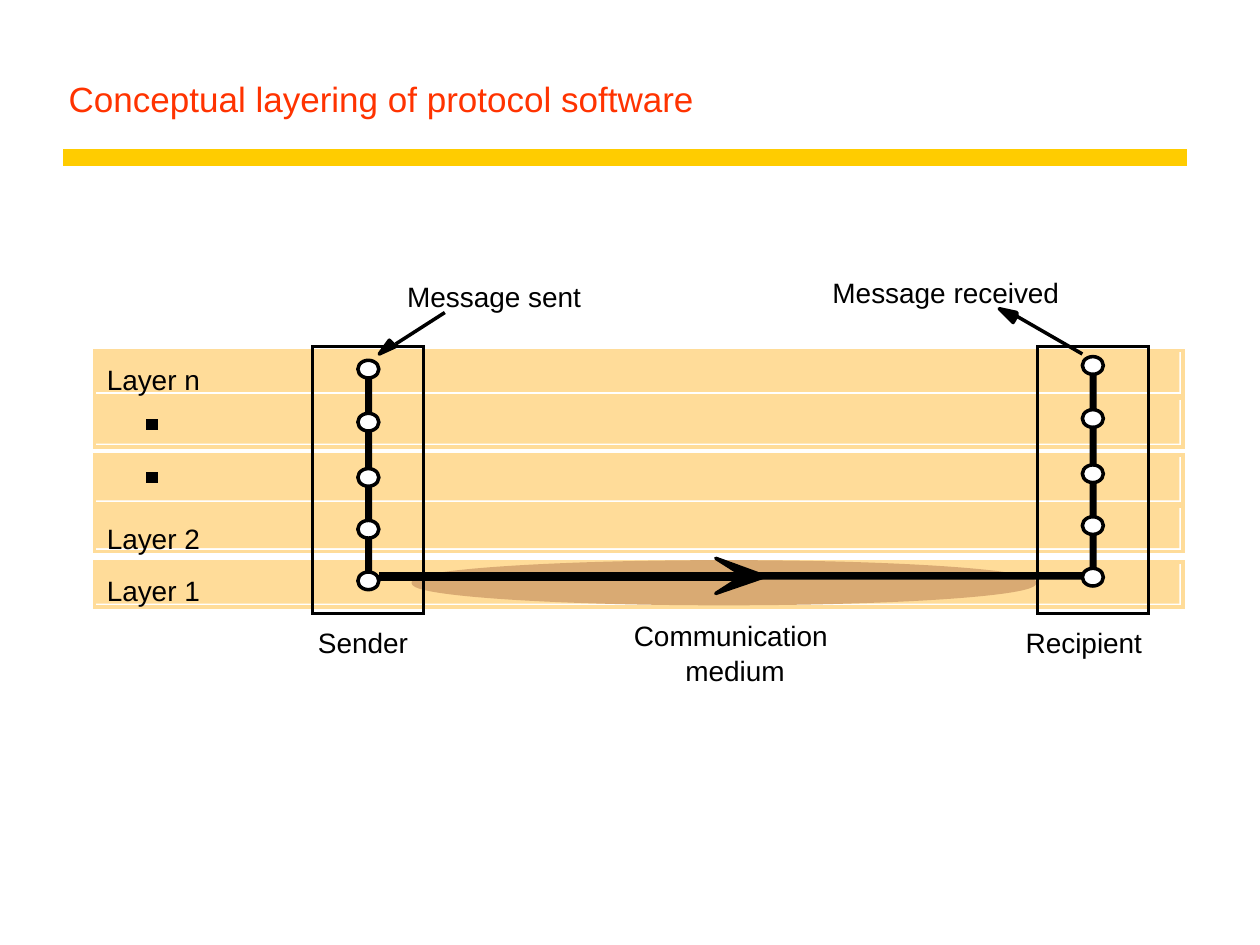
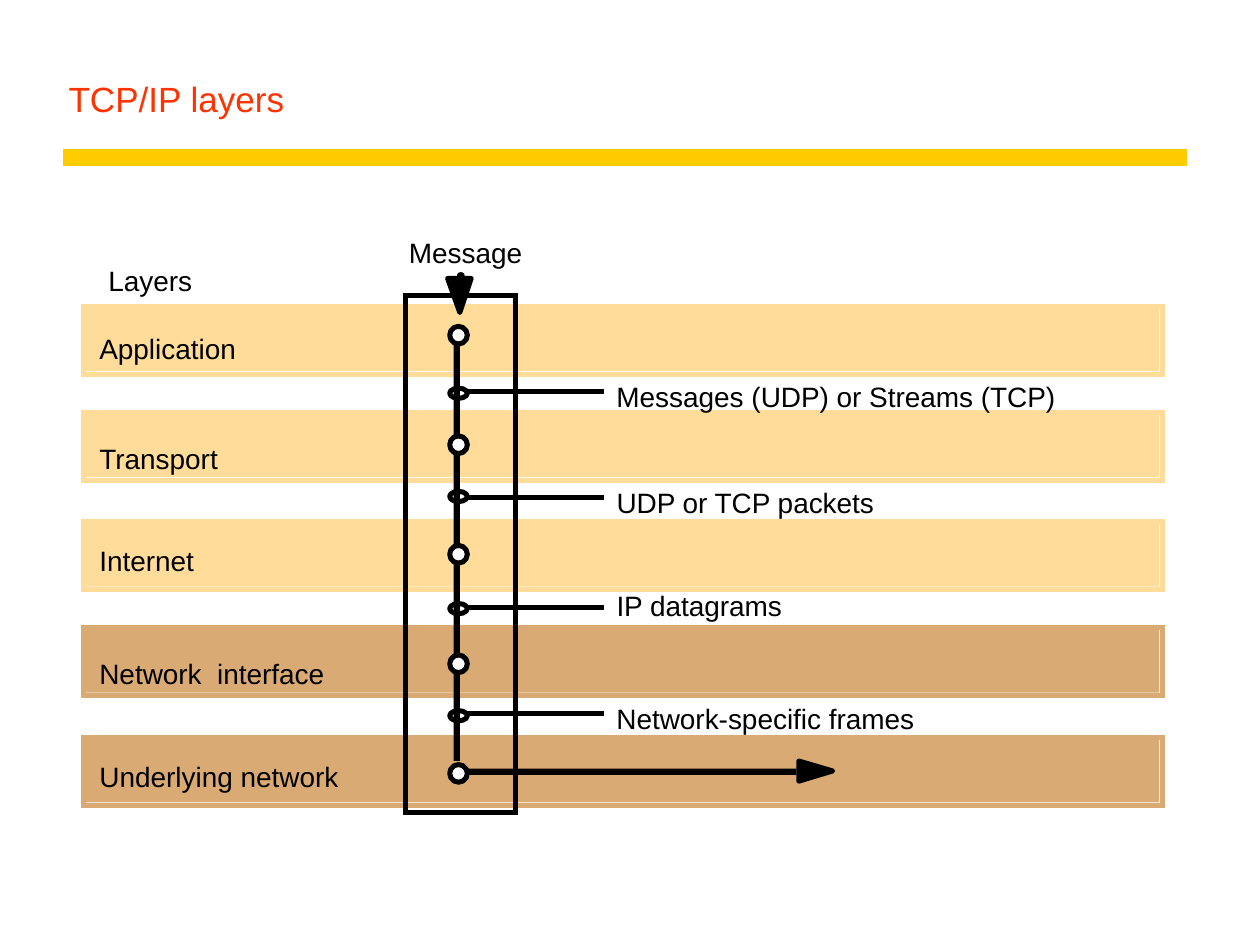
"""Build two slides on protocol layering and the TCP/IP layers."""
from dataclasses import dataclass

from lxml import etree
from pptx import Presentation
from pptx import util as u
from pptx.dml.color import RGBColor
from pptx.enum import shapes, text

BLACK, WHITE = "000000", "FFFFFF"
TITLE_RED, RULE_YELLOW = "FF3300", "FFCC00"
SAND, BROWN = "FFDC99", "D9AA73"
FONT = "Arial"
LABEL_SLACK = 4
RECT, OVAL = shapes.MSO_SHAPE.RECTANGLE, shapes.MSO_SHAPE.OVAL
DRAWING_NS = "http://schemas.openxmlformats.org/drawingml/2006/main"


@dataclass(frozen=True)
class Box:
    left: float
    top: float
    width: float
    height: float

    def emu(self) -> list:
        return [u.Pt(v) for v in (self.left, self.top, self.width, self.height)]


@dataclass(frozen=True)
class Label:
    words: str
    left: float
    top: float
    width: float


@dataclass(frozen=True)
class Band:
    box: Box
    color: str
    edge: float
    inset: float


@dataclass(frozen=True)
class Host:
    frame_left: float
    node_left: float
    node_tops: tuple


@dataclass(frozen=True)
class Interface:
    label: Label
    line_y: float
    ring_top: float


def rgb(color: str) -> RGBColor:
    return RGBColor.from_string(color)


def paint(shape, fill: str = "", line: str = "", weight: float = 2) -> None:
    shape.shadow.inherit = False
    if fill:
        shape.fill.solid()
        shape.fill.fore_color.rgb = rgb(fill)
    else:
        shape.fill.background()
    if line:
        shape.line.color.rgb = rgb(line)
        shape.line.width = u.Pt(weight)
    else:
        shape.line.fill.background()


def draw(slide, kind, box: Box, **style) -> None:
    shape = slide.shapes.add_shape(kind, *box.emu())
    paint(shape, **style)
    if kind == RECT and style.get("line"):
        outline = shape._element.spPr.find(f"{{{DRAWING_NS}}}ln")
        etree.SubElement(outline, f"{{{DRAWING_NS}}}miter", lim="800000")


def draw_outline(slide, points, weight: float) -> None:
    corners = [(u.Pt(x), u.Pt(y)) for x, y in points]
    builder = slide.shapes.build_freeform(*corners[0])
    builder.add_line_segments(corners[1:], close=True)
    paint(builder.convert_to_shape(), fill=BLACK, line=BLACK, weight=weight)


def draw_line(slide, start, end, color: str = BLACK, weight: float = 2) -> None:
    ends = [u.Pt(v) for v in (*start, *end)]
    line = slide.shapes.add_connector(shapes.MSO_CONNECTOR.STRAIGHT, *ends)
    line.line.color.rgb = rgb(color)
    line.line.width = u.Pt(weight)
    etree.SubElement(line._element.spPr, f"{{{DRAWING_NS}}}effectLst")


def write(frame, words: str, *, size: float = 16, color: str = BLACK) -> None:
    paragraph = frame.paragraphs[0]
    paragraph.alignment = text.PP_ALIGN.LEFT
    run = paragraph.add_run()
    run.text = words
    run.font.name, run.font.size = FONT, u.Pt(size)
    run.font.color.rgb = rgb(color)


def draw_label(slide, label: Label) -> None:
    box = Box(label.left, label.top, label.width + LABEL_SLACK, 19.4)
    frame = slide.shapes.add_textbox(*box.emu()).text_frame
    frame.margin_left = frame.margin_right = 0
    frame.margin_top = frame.margin_bottom = 0
    frame.word_wrap = True
    frame.auto_size = text.MSO_AUTO_SIZE.NONE
    write(frame, label.words)


def draw_band(slide, band: Band) -> None:
    box = band.box
    core = Box(box.left, box.top, box.width - band.inset, box.height - band.inset)
    draw(slide, RECT, core, fill=band.color)
    draw(slide, RECT, box, line=band.color, weight=band.edge)


def draw_host(slide, host: Host) -> None:
    draw(slide, RECT, Box(host.frame_left, 198, 63.4, 152.6), line=BLACK)
    draw(slide, RECT, Box(host.node_left + 4.1, 210.2, 4.1, 121), fill=BLACK)
    for top in host.node_tops:
        draw(slide, OVAL, Box(host.node_left, top, 12, 10.1), fill=WHITE, line=BLACK)


def add_titled_slide(deck, heading: str):
    slide = deck.slides.add_slide(deck.slide_layouts[5])
    draw_line(slide, (36, 90), (678.2, 90), RULE_YELLOW, 10)
    title = slide.shapes.title
    title.left, title.top, title.width, title.height = Box(32, 18, 645.8, 54).emu()
    frame = title.text_frame
    frame.vertical_anchor = text.MSO_ANCHOR.BOTTOM
    frame.auto_size = text.MSO_AUTO_SIZE.NONE
    frame.word_wrap = True
    write(frame, heading, size=20, color=TITLE_RED)
    return slide


def build_concept_slide(deck) -> None:
    slide = add_titled_slide(deck, "Conceptual layering of protocol software")
    layers = ((200.2, 25.9), (227.5, 28.1), (259.9, 28.1), (289.4, 25.9), (321.1, 25.9))
    for top, height in layers:
        draw_band(slide, Band(Box(54, top, 622, height), SAND, 2, 2.1))

    draw(slide, OVAL, Box(236.2, 321.1, 355, 23.8), fill=BROWN, line=BROWN)
    draw(slide, RECT, Box(216.7, 326.9, 408.2, 4.3), fill=BLACK)
    medium_head = ((438.5, 329), (409, 339.1), (424.8, 329), (409, 319), (436.3, 329))
    draw_outline(slide, medium_head, 2)
    draw_line(slide, (216.7, 331.2), (422.6, 331.2))

    labels = (
        Label("Layer n", 61, 207.4, 53.3),
        Label("Layer 2", 61, 298.1, 53.3),
        Label("Layer 1", 61, 327.6, 53.3),
        Label("Message sent", 232.7, 159.8, 99.4),
        Label("Message received", 475.7, 157.7, 129.6),
        Label("Communication", 362.2, 353.5, 110.9),
        Label("medium", 391.7, 373.7, 56.9),
        Label("Sender", 181.7, 357.6, 51.8),
        Label("Recipient", 586.1, 357.6, 66.2),
    )
    for label in labels:
        draw_label(slide, label)

    sender_tops = (205.9, 236.2, 267.8, 297.4, 326.9)
    recipient_tops = tuple(top - 2.1 for top in sender_tops)
    draw_host(slide, Host(592.8, 618.5, recipient_tops))
    draw_host(slide, Host(178.7, 204.5, sender_tops))

    received_head = ((581, 180.7), (578.9, 184.3), (571, 176.4), (581, 178.6))
    draw_outline(slide, received_head, 2)
    draw_line(slide, (618.5, 202.3), (581, 180.7))
    sent_head = ((224.6, 196.6), (226.1, 198), (216.7, 202.3), (222.5, 194.4))
    draw_outline(slide, sent_head, 2)
    draw_line(slide, (254.2, 178.6), (226.1, 196.6))

    for dot_top in (239.8, 270):
        draw(slide, RECT, Box(84, dot_top, 5.8, 5.8), fill=BLACK, line=BLACK, weight=0.75)


def build_tcp_ip_slide(deck) -> None:
    slide = add_titled_slide(deck, "TCP/IP layers")
    edge = 2.86
    node_left, node_size = 257, 10.1
    layers = (
        (Label("Application", 56.8, 189.4, 78.5), 175, SAND),
        (Label("Transport", 56.8, 252.2, 68.4), 235.6, SAND),
        (Label("Internet", 56.8, 310.8, 54), 298.1, SAND),
        (Label("Network  interface", 56.8, 375.1, 128.9), 358.7, BROWN),
        (Label("Underlying network", 56.8, 434.2, 136.8), 421.4, BROWN),
    )
    interfaces = (
        Interface(Label("Messages (UDP) or Streams (TCP)", 352.3, 216.7, 251.3), 223.9, 221.8),
        Interface(Label("UDP or TCP packets", 352.3, 277.7, 148.3), 284.4, 280.8),
        Interface(Label("IP datagrams", 352.3, 336.2, 95), 347, 344.9),
        Interface(Label("Network-specific frames", 352.3, 401, 170.6), 407.5, 406.1),
    )
    for _, top, color in layers:
        draw_band(slide, Band(Box(48, top, 616.3, 38.9), color, edge, 1.8))

    draw(slide, RECT, Box(231.8, 169, 62.6, 295.2), line=BLACK, weight=edge)
    draw(slide, RECT, Box(259.2, 194.4, 3.6, 240.5), fill=BLACK)
    for label, _, _ in layers:
        draw_label(slide, label)
    draw_label(slide, Label("Message", 233.6, 134.6, 64.8))
    draw_label(slide, Label("Layers", 61.9, 150.5, 48.2))

    for interface in interfaces:
        draw_label(slide, interface.label)
        y = interface.line_y
        draw_line(slide, (344.9, y), (267.1, y), weight=edge)
        ring = Box(node_left, interface.ring_top, node_size, 5.8)
        draw(slide, OVAL, ring, line=BLACK, weight=edge)

    draw(slide, OVAL, Box(261.2, 155.5, 4.3, 3.6), fill=BLACK)
    draw_outline(slide, ((255.8, 159.1), (269.3, 159.1), (262.8, 178.6)), edge)
    draw(slide, RECT, Box(261.4, 439.2, 193.7, 3.6), fill=BLACK)
    draw_outline(slide, ((456.5, 434.9), (475.9, 440.6), (456.5, 446.4)), edge)

    for index in range(len(layers)):
        node = Box(node_left, 186.5 + 62.6 * index, node_size, node_size)
        draw(slide, OVAL, node, fill=WHITE, line=BLACK, weight=edge)


def main() -> None:
    deck = Presentation()
    deck.slide_width, deck.slide_height = u.Pt(720), u.Pt(540)
    build_concept_slide(deck)
    build_tcp_ip_slide(deck)
    deck.save("out.pptx")


if __name__ == "__main__":
    main()
